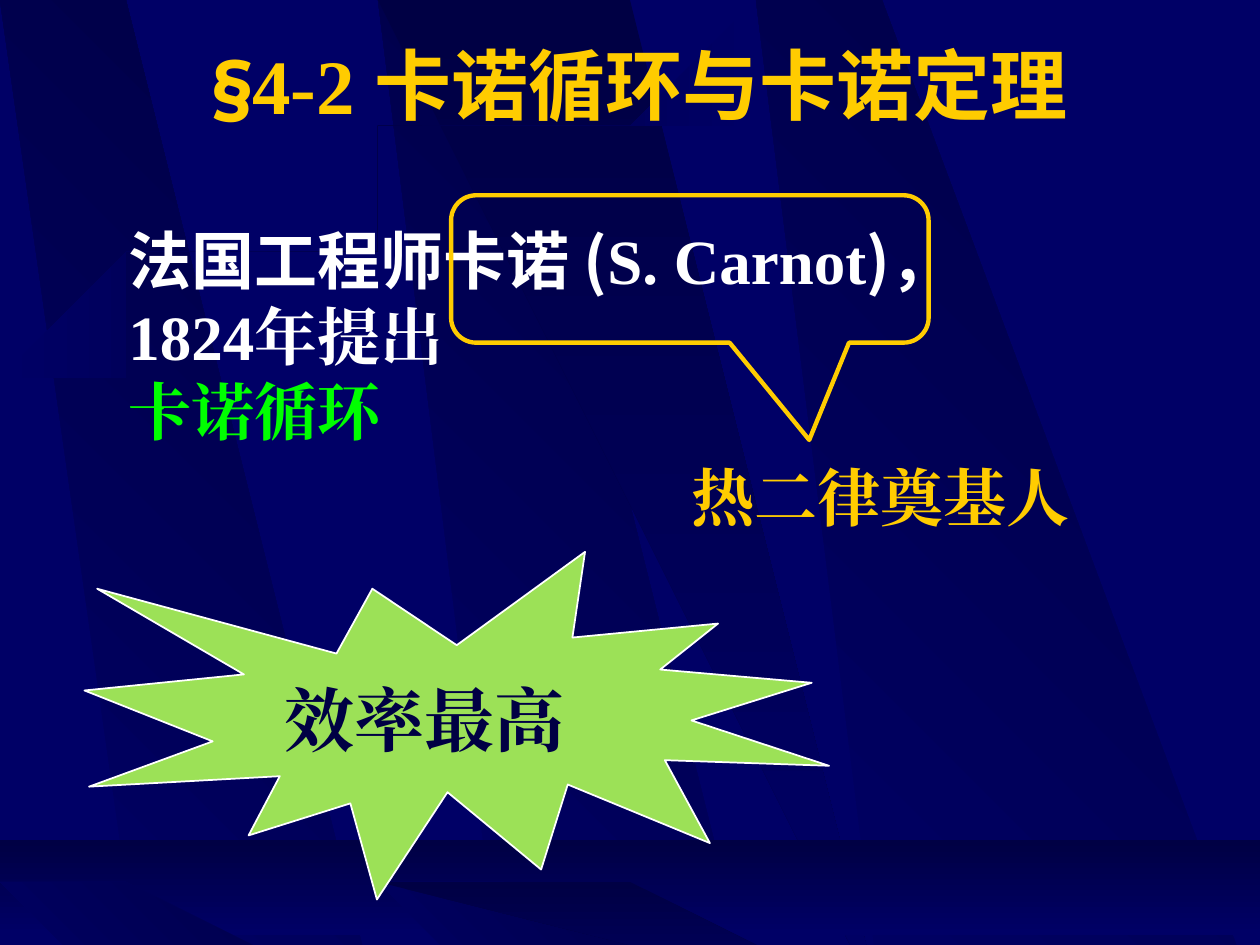
from copy import deepcopy

from lxml import etree
from pptx import Presentation
from pptx.dml.color import RGBColor
from pptx.enum.shapes import MSO_SHAPE
from pptx.enum.text import MSO_ANCHOR, MSO_AUTO_SIZE, PP_ALIGN
from pptx.oxml.ns import qn
from pptx.util import Inches, Pt

RECTANGLE = MSO_SHAPE.RECTANGLE
CALLOUT = MSO_SHAPE.ROUNDED_RECTANGULAR_CALLOUT
BURST = MSO_SHAPE.EXPLOSION1
MIDDLE = MSO_ANCHOR.MIDDLE
CENTER = PP_ALIGN.CENTER
GROW = MSO_AUTO_SIZE.SHAPE_TO_FIT_TEXT

NAVY = RGBColor(0x00, 0x00, 0x66)
MIDNIGHT = RGBColor(0x00, 0x00, 0x44)
GOLD = RGBColor(0xFF, 0xCC, 0x00)
WHITE = RGBColor(0xFF, 0xFF, 0xFF)
GREEN = RGBColor(0x00, 0xFF, 0x00)
LIME = RGBColor(0x9C, 0xE1, 0x57)

SERIF = "Times New Roman"
SANS = "Montserrat"
HAN = "Noto Sans CJK SC"

# Grid: 10 columns by 7.5 rows of one inch
COLUMNS, ROWS = 10, 7.5
UP_RIGHT, DOWN, RIGHTWARD = 45, 270, 0


def shade(shape, colors, angle):
    """Fill with an evenly spaced gradient; the angle runs counterclockwise."""
    shape.shadow.inherit = False
    shape.line.fill.background()
    shape.fill.gradient()
    shape.fill.gradient_angle = angle
    stops = shape.fill._fill.gradient_stops
    if len(colors) == 3:
        first = shape._element.spPr.find(".//" + qn("a:gs"))
        first.addnext(deepcopy(first))
        stops = shape.fill._fill.gradient_stops
    for i, (stop, color) in enumerate(zip(stops, colors)):
        stop.position = i / (len(colors) - 1)
        stop.color.rgb = color


def write(frame, paragraphs, size):
    """Write paragraphs, each a list of (text, font, color) runs."""
    for i, runs in enumerate(paragraphs):
        paragraph = frame.paragraphs[0] if i == 0 else frame.add_paragraph()
        for text, font, color in runs:
            run = paragraph.add_run()
            run.text = text
            for key, value in {"size": Pt(size), "bold": True, "name": font}.items():
                setattr(run.font, key, value)
            run.font.color.rgb = color
            east_asian = etree.SubElement(run._r.rPr, qn("a:ea"))
            east_asian.set("typeface", font)


prs = Presentation()
prs.slide_width, prs.slide_height = Inches(COLUMNS), Inches(ROWS)
slide = prs.slides.add_slide(prs.slide_layouts[5])
shapes = slide.shapes
slide.background.fill.solid()
slide.background.fill.fore_color.rgb = NAVY

# Backdrop: slanted beams, a curved streak and the floor band
slab = [(0, 0.01), (0.86, 7.5), (3.02, 7.52), (0.91, 0)]
wedge = [(3.33, 0.01), (6.58, 7.51), (6.94, 7.51), (5.13, 0)]
floor_slab = [(0, 6.88), (0.86, 7.54), (3.02, 7.55), (0.91, 6.88)]
floor_wedge = [(3.33, 6.88), (6.58, 7.55), (6.94, 7.55), (5.13, 6.88)]

upper_curve = [(0.2, 2.75), (2.84, 1.34), (5.24, 0.59), (6.26, 0.18)]
lower_curve = [(6.29, 0.24), (5.28, 0.69), (2.54, 1.51), (0.23, 2.85)]
STEPS = 16
streak = []
for curve in (upper_curve, lower_curve):
    for step in range(STEPS + 1):
        t = step / STEPS
        weights = ((1 - t) ** 3, 3 * t * (1 - t) ** 2, 3 * t * t * (1 - t), t ** 3)
        streak.append(tuple(sum(w * p[axis] for w, p in zip(weights, curve))
                            for axis in (0, 1)))

FADE_IN, FADE_OUT = (NAVY, MIDNIGHT), (MIDNIGHT, NAVY)
backdrop = [
    (slab, 2.83, 0.01, FADE_IN, UP_RIGHT),
    (slab, -0.02, -0.02, FADE_IN, UP_RIGHT),
    (slab, 6.5, 0, FADE_IN, UP_RIGHT),
    (wedge, 0, 0, FADE_OUT, DOWN),
    (streak, 0, 0, (NAVY, MIDNIGHT, NAVY), RIGHTWARD),
    (None, 0, 0, FADE_OUT, DOWN),
    (floor_slab, 2.83, 0, FADE_IN, UP_RIGHT),
    (floor_slab, 0, 0, FADE_IN, UP_RIGHT),
    (floor_wedge, 0, 0, FADE_OUT, DOWN),
]
for outline, dx, dy, colors, angle in backdrop:
    if outline is None:
        part = shapes.add_shape(RECTANGLE, 0, Inches(6.67), prs.slide_width, Inches(0.75))
    else:
        points = [(x + dx, y + dy) for x, y in outline]
        builder = shapes.build_freeform(*points[0], scale=Inches(1))
        builder.add_line_segments(points[1:], close=True)
        part = builder.convert_to_shape()
    shade(part, colors, angle)

# Title, brought in front of the backdrop
title = shapes.title
shapes._spTree.append(title._element)
title.left, title.top, title.width, title.height = map(Inches, (0.83, 0.25, 8.5, 0.83))
title.text_frame.vertical_anchor = MIDDLE
write(title.text_frame, [[("§", SANS, GOLD), ("4-2 ", SERIF, GOLD),
                          ("卡诺循环与卡诺定理", SANS, GOLD)]], 44)
title.text_frame.paragraphs[0].alignment = CENTER

# Callout around the name, burst behind the conclusion
callout = shapes.add_shape(CALLOUT, *map(Inches, (3.58, 1.55, 3.79, 1.17)))
callout.shadow.inherit = False
callout.fill.background()
callout.line.color.rgb = GOLD
callout.line.width = Pt(2.5)
for i, value in enumerate((0.25, 1.16, 0.17)):
    callout.adjustments[i] = value

conclusion = shapes.add_group_shape()
burst = conclusion.shapes.add_shape(BURST, *map(Inches, (0.67, 4.38, 5.91, 2.76)))
burst.shadow.inherit = False
burst.fill.solid()
burst.fill.fore_color.rgb = LIME
burst.line.color.rgb = WHITE
burst.line.width = Pt(1)

statement = [
    [("法国工程师卡诺 (", HAN, WHITE), ("S. Carnot", SERIF, WHITE), (")，", HAN, WHITE)],
    [("1824年提出", SERIF, WHITE)],
    [("卡诺循环", SERIF, GREEN)],
]
texts = [
    (shapes, (0.92, 1.71, 8.49, 1.9), statement, 36),
    (shapes, (5.39, 3.59, 3.76, 0.7), [[("热二律奠基人", SERIF, GOLD)]], 36),
    (conclusion.shapes, (2.16, 5.32, 2.99, 0.77), [[("效率最高", SERIF, MIDNIGHT)]], 40),
]
for parent, place, paragraphs, size in texts:
    frame = parent.add_textbox(*map(Inches, place)).text_frame
    frame.word_wrap = True
    frame.auto_size = GROW
    write(frame, paragraphs, size)

# The statement lies behind the callout
callout._element.addprevious(shapes[-2]._element)

prs.save("out.pptx")
